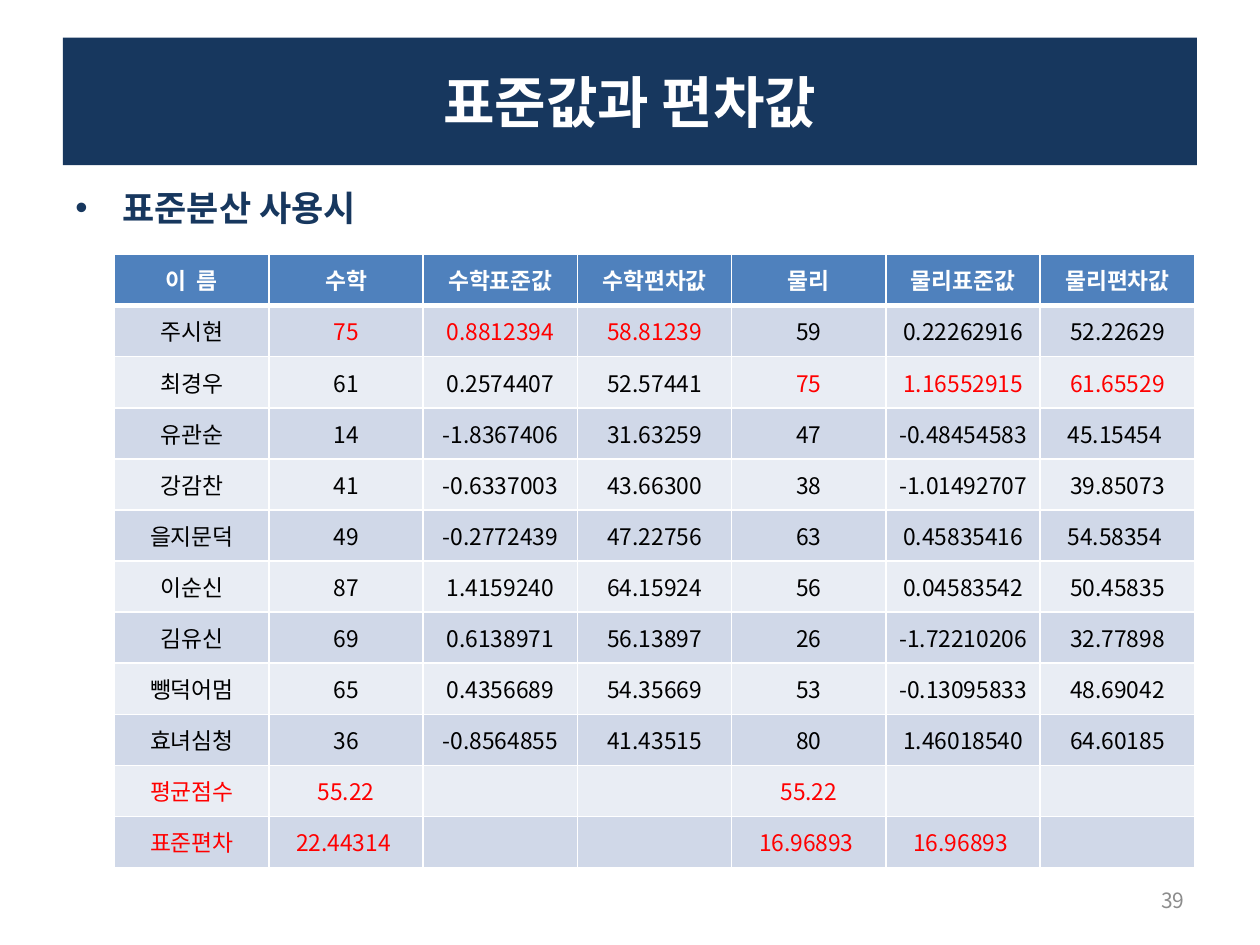
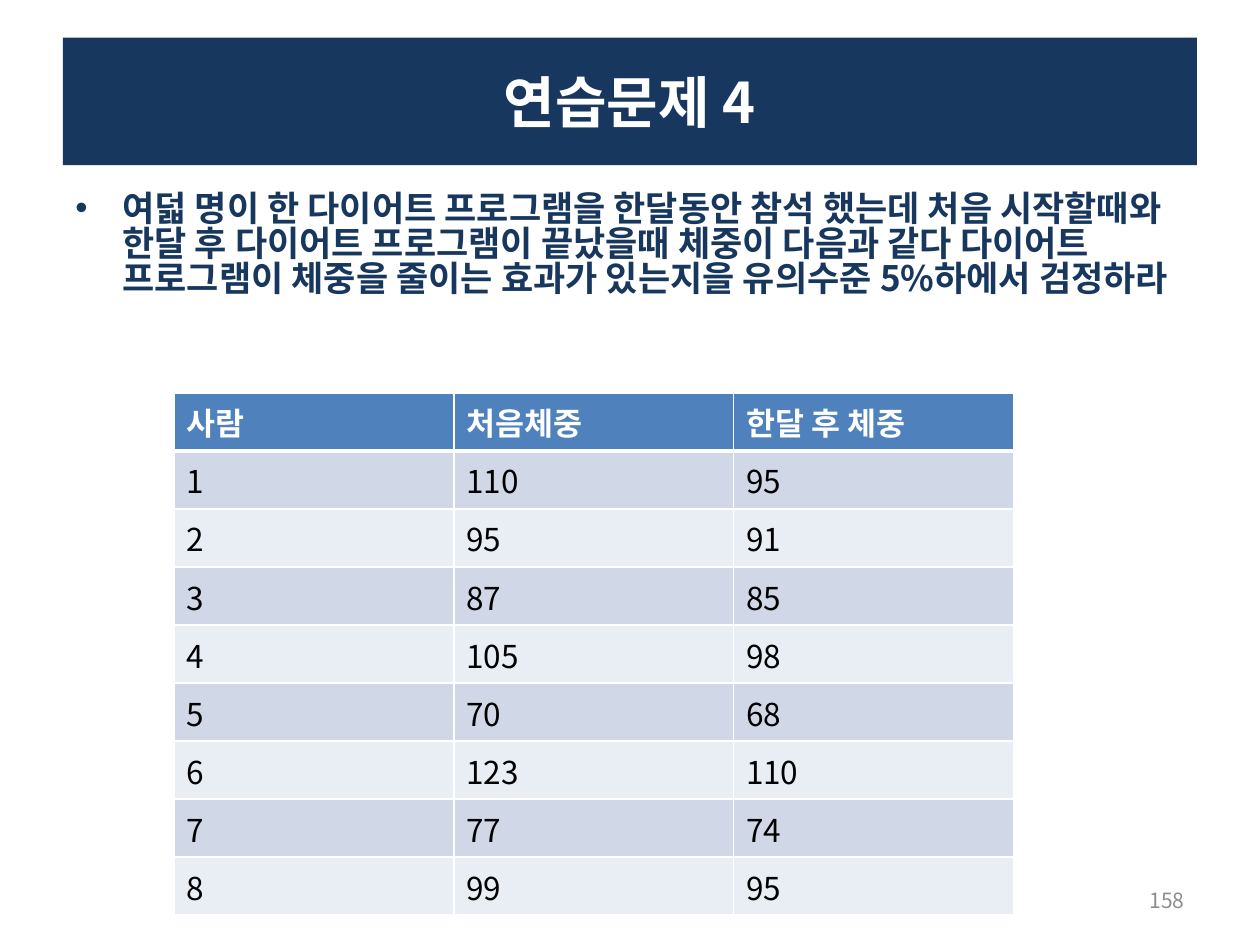
"""Build two statistics slides: a standard score table and a paired-sample exercise."""
import pptx
import pptx.dml.color
import pptx.enum.shapes
import pptx.enum.text
import pptx.oxml
import pptx.oxml.ns
import pptx.util

Cm, Pt = pptx.util.Cm, pptx.util.Pt
ALIGN, ANCHOR = pptx.enum.text.PP_ALIGN, pptx.enum.text.MSO_ANCHOR
FONT = "Noto Sans CJK KR"
COLORS = {
    "navy": "17375E", "header": "4F81BD", "odd": "D0D8E8", "even": "E9EDF4",
    "white": "FFFFFF", "black": "000000", "red": "FF0000", "gray": "8C8C8C",
}

SCORES = [
    ("이  름", "수학", "수학표준값", "수학편차값", "물리", "물리표준값", "물리편차값"),
    ("주시현", "75", "0.8812394", "58.81239", "59", "0.22262916", "52.22629"),
    ("최경우", "61", "0.2574407", "52.57441", "75", "1.16552915", "61.65529"),
    ("유관순", "14", "-1.8367406", "31.63259", "47", "-0.48454583", "45.15454 "),
    ("강감찬", "41", "-0.6337003", "43.66300", "38", "-1.01492707", "39.85073"),
    ("을지문덕", "49", "-0.2772439", "47.22756", "63", "0.45835416", "54.58354 "),
    ("이순신", "87", "1.4159240", "64.15924", "56", "0.04583542", "50.45835"),
    ("김유신", "69", "0.6138971", "56.13897", "26", "-1.72210206", "32.77898"),
    ("뺑덕어멈", "65", "0.4356689", "54.35669", "53", "-0.13095833", "48.69042"),
    ("효녀심청", "36", "-0.8564855", "41.43515", "80", "1.46018540", "64.60185"),
    ("평균점수", "55.22", "", "", "55.22", "", ""),
    ("표준편차", "22.44314 ", "", "", "16.96893 ", "16.96893 ", ""),
]
WEIGHTS = [
    ("사람", "처음체중", "한달 후 체중"),
    ("1", "110", "95"), ("2", "95", "91"), ("3", "87", "85"), ("4", "105", "98"),
    ("5", "70", "68"), ("6", "123", "110"), ("7", "77", "74"), ("8", "99", "95"),
]
RED_COLUMNS = {1: range(1, 4), 2: range(4, 7), 10: range(7), 11: range(7)}

SLIDES = [
    {
        "title": "표준값과 편차값",
        "body": "표준분산 사용시",
        "number": "39",
        "table": {"rows": SCORES, "at": (2.31, 5.13), "cell": (3.11, 1.03), "size": 13,
                  "align": ALIGN.CENTER, "anchor": ANCHOR.MIDDLE,
                  "insets": (0.18, 0), "red": RED_COLUMNS},
    },
    {
        "title": "연습문제 4",
        "body": "여덟 명이 한 다이어트 프로그램을 한달동안 참석 했는데 처음 시작할때와 "
                "한달 후 다이어트 프로그램이 끝났을때 체중이 다음과 같다 다이어트 "
                "프로그램이 체중을 줄이는 효과가 있는지을 유의수준 5%하에서 검정하라",
        "number": "158",
        "table": {"rows": WEIGHTS, "at": (3.51, 7.92), "cell": (5.64, 1.17), "size": 18,
                  "align": ALIGN.LEFT, "anchor": ANCHOR.TOP,
                  "insets": (0.25, 0.13), "red": {}},
    },
]


def rgb(name):
    return pptx.dml.color.RGBColor.from_string(COLORS[name])


def add_xml(parent, tag, index=None, inner="", **attrs):
    text = "".join(f' {k}="{v}"' for k, v in attrs.items())
    ns = pptx.oxml.ns.nsdecls("a")
    el = pptx.oxml.parse_xml(f"<a:{tag} {ns}{text}>{inner}</a:{tag}>")
    parent.insert(len(parent) if index is None else index, el)


def add_run(p, text, size, color, bold=False):
    r = p.add_run()
    r.text = text
    r.font.size, r.font.bold, r.font.name = Pt(size), bold, FONT
    r.font.color.rgb = rgb(color)
    add_xml(r.font._element, "ea", typeface=FONT)


def add_title(s, text):
    sp = s.shapes.add_shape(pptx.enum.shapes.MSO_SHAPE.RECTANGLE,
                            Cm(1.27), Cm(0.76), Cm(22.86), Cm(2.57))
    sp.shadow.inherit = False
    sp.fill.solid()
    sp.fill.fore_color.rgb = rgb("navy")
    sp.line.fill.background()
    tf = sp.text_frame
    tf.word_wrap, tf.vertical_anchor = True, ANCHOR.MIDDLE
    p = tf.paragraphs[0]
    p.alignment = ALIGN.CENTER
    add_run(p, text, 32, "white", True)


def add_body(s, text):
    tf = s.shapes.add_textbox(Cm(1.27), Cm(3.78), Cm(22.86), Cm(13.28)).text_frame
    tf.word_wrap = True
    p = tf.paragraphs[0]
    p.line_spacing = 0.83
    pPr = p._p.get_or_add_pPr()
    pPr.set("marL", str(Cm(0.95)))
    pPr.set("indent", str(-Cm(0.95)))
    add_xml(pPr, "buFont", typeface="Arial")
    add_xml(pPr, "buChar", char="•")
    add_run(p, text, 20, "navy", True)


def add_number(s, text):
    tf = s.shapes.add_textbox(Cm(18.2), Cm(17.65), Cm(5.93), Cm(1.01)).text_frame
    tf.word_wrap, tf.vertical_anchor = True, ANCHOR.MIDDLE
    p = tf.paragraphs[0]
    p.alignment = ALIGN.RIGHT
    add_run(p, text, 12, "gray")


def add_borders(cell, row):
    fill = f'<a:solidFill><a:srgbClr val="{COLORS["white"]}"/></a:solidFill>'
    widths = {"lnL": 1, "lnR": 1, "lnT": 3 if row == 1 else 1, "lnB": 3 if row == 0 else 1}
    tcPr = cell._tc.get_or_add_tcPr()
    for i, (side, width) in enumerate(widths.items()):
        add_xml(tcPr, side, i, fill, w=Pt(width))


def add_table(s, rows, at, cell, size, align, anchor, insets, red):
    n_rows, n_cols = len(rows), len(rows[0])
    width, height = cell
    table = s.shapes.add_table(n_rows, n_cols, Cm(at[0]), Cm(at[1]),
                               Cm(width * n_cols), Cm(height * n_rows)).table
    table.horz_banding = False
    for column in table.columns:
        column.width = Cm(width)
    for i, values in enumerate(rows):
        table.rows[i].height = Cm(height)
        band = "header" if i == 0 else "odd" if i % 2 else "even"
        for j, value in enumerate(values):
            c = table.cell(i, j)
            c.fill.solid()
            c.fill.fore_color.rgb = rgb(band)
            c.margin_left = c.margin_right = Cm(insets[0])
            c.margin_top = c.margin_bottom = Cm(insets[1])
            c.vertical_anchor = anchor
            add_borders(c, i)
            p = c.text_frame.paragraphs[0]
            p.alignment = align
            p.font.size = Pt(size)
            if value:
                color = "white" if i == 0 else "red" if j in red.get(i, ()) else "black"
                add_run(p, value, size, color, i == 0)


def main():
    prs = pptx.Presentation()
    prs.slide_width, prs.slide_height = Cm(25.4), Cm(19.05)
    for content in SLIDES:
        s = prs.slides.add_slide(prs.slide_layouts[6])
        add_title(s, content["title"])
        add_body(s, content["body"])
        add_table(s, **content["table"])
        add_number(s, content["number"])
    prs.save("out.pptx")


if __name__ == "__main__":
    main()
